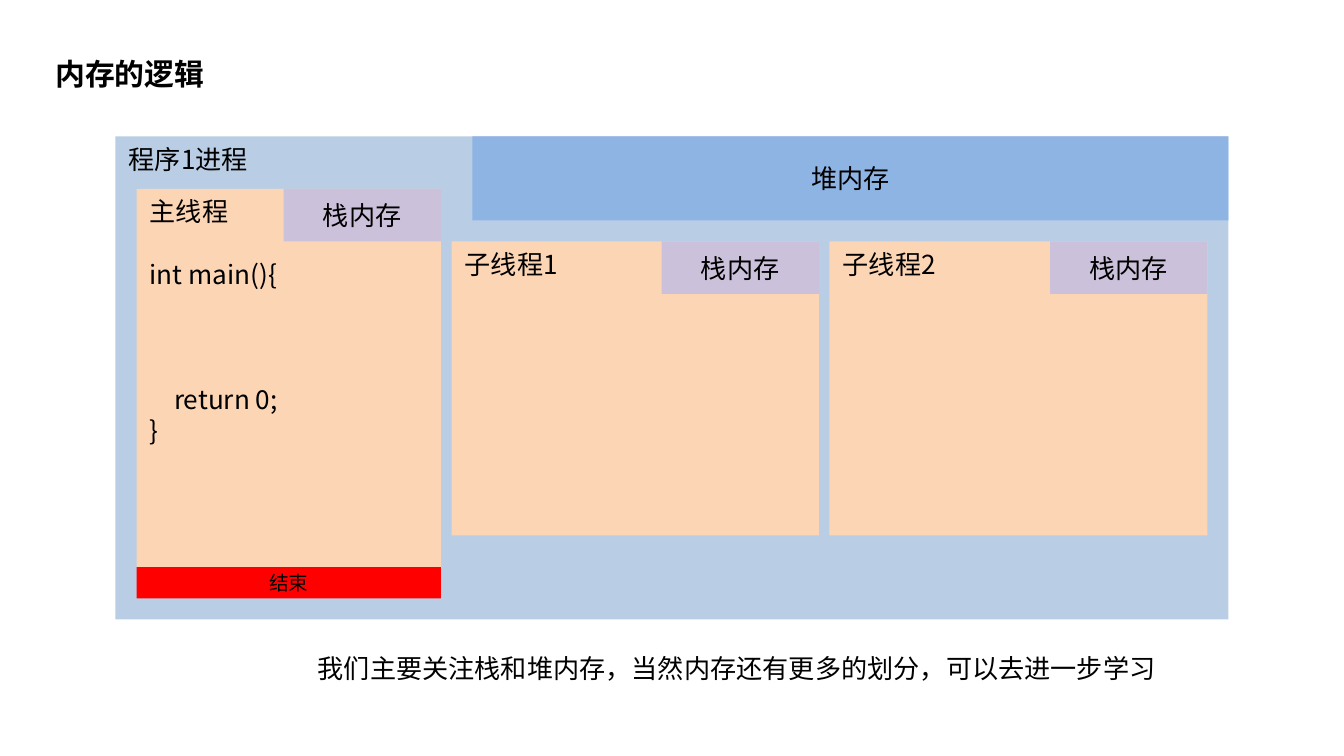
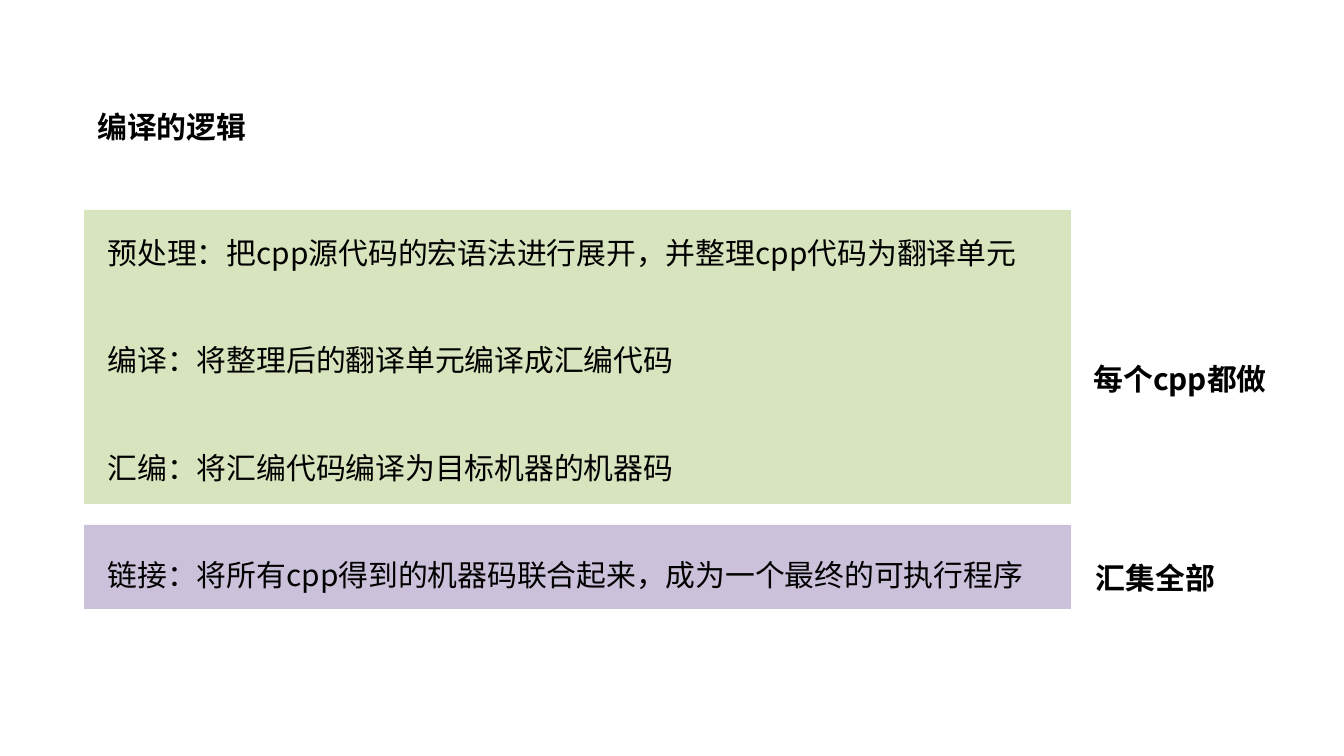
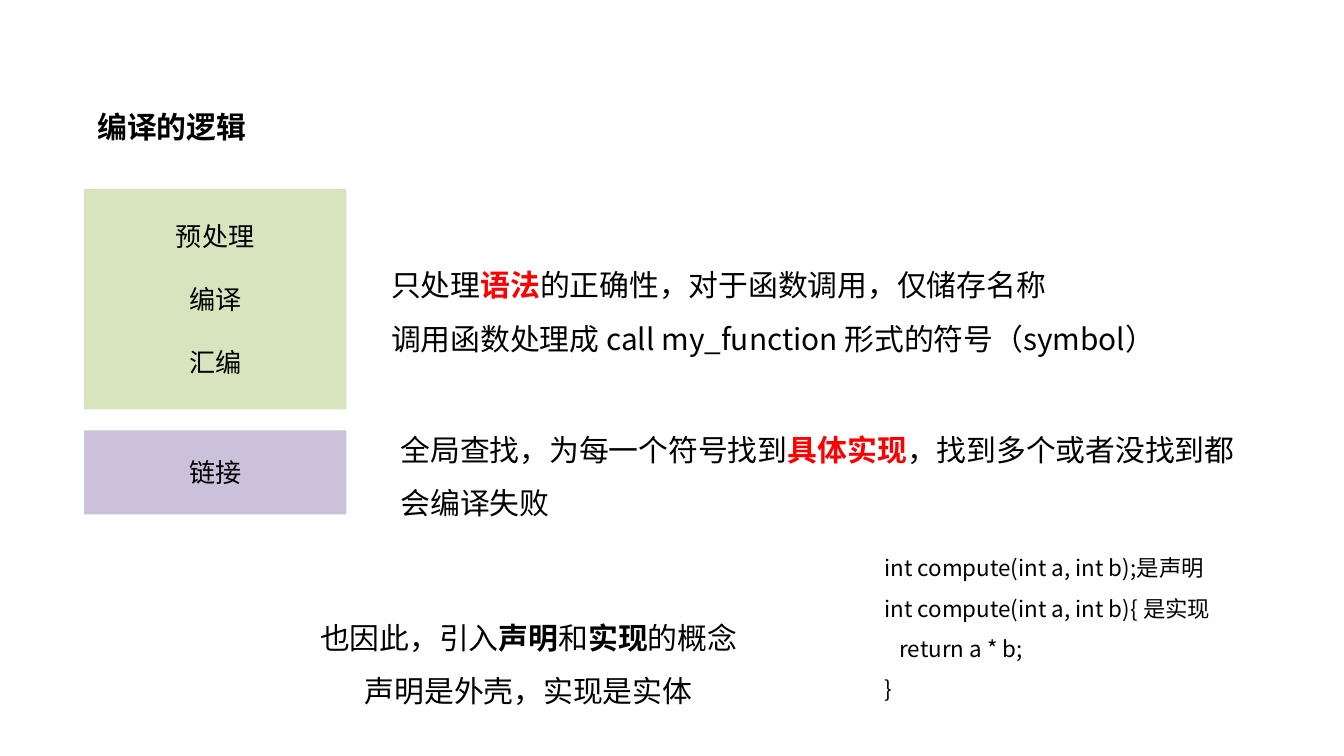
import dataclasses

import pptx
import pptx.dml.color
import pptx.enum.shapes
import pptx.enum.text
import pptx.oxml
import pptx.oxml.ns
import pptx.util

Pt = pptx.util.Pt
RGBColor = pptx.dml.color.RGBColor
ALIGN = pptx.enum.text.PP_ALIGN
ANCHOR = pptx.enum.text.MSO_ANCHOR

SLIDE_WIDTH, SLIDE_HEIGHT = 720, 405
GRID = SLIDE_WIDTH / 128  # points in one grid unit; every box is given in units
FONT = "Noto Sans CJK SC"

BLACK = RGBColor(0x00, 0x00, 0x00)
RED = RGBColor(0xFF, 0x00, 0x00)
PROCESS_BLUE = RGBColor(0xB9, 0xCD, 0xE5)
HEAP_BLUE = RGBColor(0x8E, 0xB4, 0xE3)
THREAD_ORANGE = RGBColor(0xFC, 0xD5, 0xB5)
PURPLE = RGBColor(0xCC, 0xC1, 0xDA)
GREEN = RGBColor(0xD7, 0xE4, 0xBD)

BOLD = {"bold": True}
KEYWORD = {"bold": True, "color": RED}
STACK_SIZE = (15, 5)
TITLE_SIZE = (16.9, 6.4)


@dataclasses.dataclass
class Line:
    """One paragraph: (text, style) runs, space above and left indent in points."""
    runs: list
    gap: float = 0
    indent: float = 0


def plain(text, gap=0, indent=0):
    return Line([(text, {})], gap, indent)


def set_attributes(target, values):
    for name, value in values.items():
        setattr(target, name, value)


def place(shape, box):
    lengths = (Pt(units * GRID) for units in box)
    set_attributes(shape, dict(zip(("left", "top", "width", "height"), lengths)))


def write(frame, lines, size, align=ALIGN.LEFT, spacing=1.0, bold=False):
    for index, line in enumerate(lines):
        paragraph = frame.paragraphs[0] if index == 0 else frame.add_paragraph()
        set_attributes(paragraph, {"alignment": align, "line_spacing": spacing,
                                   "space_before": Pt(line.gap)})
        if line.indent:
            paragraph._p.get_or_add_pPr().set("marL", str(Pt(line.indent)))
        for text, style in line.runs:
            run = paragraph.add_run()
            run.text = text
            set_attributes(run.font, {"name": FONT, "size": Pt(size),
                                      "bold": style.get("bold", bold)})
            run.font.color.rgb = style.get("color", BLACK)
            east_asian = pptx.oxml.parse_xml(
                f'<a:ea {pptx.oxml.ns.nsdecls("a")} typeface="{FONT}"/>')
            run.font._element.find(pptx.oxml.ns.qn("a:latin")).addnext(east_asian)


def fit_text(frame, anchor):
    set_attributes(frame, {"word_wrap": True, "vertical_anchor": anchor,
                           "auto_size": pptx.enum.text.MSO_AUTO_SIZE.SHAPE_TO_FIT_TEXT})


def add_panel(slide, box, fill, lines=(), size=14, align=ALIGN.CENTER, anchor=ANCHOR.MIDDLE):
    panel = slide.shapes.add_shape(pptx.enum.shapes.MSO_SHAPE.RECTANGLE, 0, 0, 0, 0)
    place(panel, box)
    panel.shadow.inherit = False
    panel.fill.solid()
    panel.fill.fore_color.rgb = fill
    panel.line.fill.background()
    panel.text_frame.vertical_anchor = anchor
    write(panel.text_frame, lines, size, align)


def add_note(slide, box, lines, size=16, anchor=ANCHOR.MIDDLE, **text_format):
    note = slide.shapes.add_textbox(0, 0, 0, 0)
    place(note, box)
    fit_text(note.text_frame, anchor)
    write(note.text_frame, lines, size, spacing=1.5, **text_format)


def add_titled_slide(deck, title, left, top):
    slide = deck.slides.add_slide(deck.slide_layouts[5])
    heading = slide.shapes.title
    place(heading, (left, top, *TITLE_SIZE))
    fit_text(heading.text_frame, ANCHOR.TOP)
    write(heading.text_frame, [plain(title)], 16, spacing=1.5, bold=True)
    return slide


def add_thread(slide, box, lines):
    """A thread block with its stack memory in the top right corner."""
    left, top, width, _ = box
    stack_width, stack_height = STACK_SIZE
    add_panel(slide, box, THREAD_ORANGE, lines, align=ALIGN.LEFT, anchor=ANCHOR.TOP)
    add_panel(slide, (left + width - stack_width, top, stack_width, stack_height),
              PURPLE, [plain("栈内存")])


def add_process(slide, box):
    left, top, width, height = box
    add_panel(slide, box, PROCESS_BLUE, [plain("程序1进程")],
              align=ALIGN.LEFT, anchor=ANCHOR.TOP)
    heap_width = 72
    add_panel(slide, (left + width - heap_width, top, heap_width, 8),
              HEAP_BLUE, [plain("堆内存")])

    main_width, main_height, end_height = 29, 36, 3
    main_left, main_top = left + 2, top + 5
    add_thread(slide, (main_left, main_top, main_width, main_height), [
        plain("主线程"),
        plain("int main(){", gap=17),
        plain("return 0;", gap=50, indent=13),
        plain("}"),
    ])
    add_panel(slide, (main_left, main_top + main_height, main_width, end_height),
              RED, [plain("结束")], size=10.5)

    child_left = main_left + main_width + 1
    for name, child_width in (("子线程1", 35), ("子线程2", 36)):
        add_thread(slide, (child_left, top + 10, child_width, 28), [plain(name)])
        child_left += child_width + 1


def add_stages(slide, left, top, width, compile_height, compile_lines=(), link_lines=()):
    """The per-file stages above the linking stage."""
    add_panel(slide, (left, top, width, compile_height), GREEN, compile_lines)
    add_panel(slide, (left, top + compile_height + 2, width, 8), PURPLE, link_lines)


def build_memory_slide(deck):
    slide = add_titled_slide(deck, "内存的逻辑", 4, 3)
    add_process(slide, (11, 13, 106, 46))
    add_note(slide, (29, 60, 83, 5.8),
             [plain("我们主要关注栈和堆内存，当然内存还有更多的划分，可以去进一步学习")],
             size=14, anchor=ANCHOR.TOP)


def build_stages_slide(deck):
    slide = add_titled_slide(deck, "编译的逻辑", 8, 8)
    add_stages(slide, 8, 20, 94, 28)
    stages = (
        "预处理：把cpp源代码的宏语法进行展开，并整理cpp代码为翻译单元",
        "编译：将整理后的翻译单元编译成汇编代码",
        "汇编：将汇编代码编译为目标机器的机器码",
        "链接：将所有cpp得到的机器码联合起来，成为一个最终的可执行程序",
    )
    add_note(slide, (9, 20, 112, 37.5),
             [plain(stage, gap=28.75 if index else 0) for index, stage in enumerate(stages)],
             anchor=ANCHOR.TOP)
    for scope, box in (("每个cpp都做", (102.7, 32, 19.4, 6.4)),
                       ("汇集全部", (103, 51, 14.1, 6.4))):
        add_note(slide, box, [plain(scope)], align=ALIGN.CENTER, bold=True)


def build_symbols_slide(deck):
    slide = add_titled_slide(deck, "编译的逻辑", 8, 8)
    add_stages(slide, 8, 18, 25, 21,
               [plain("预处理"), plain("编译", gap=17), plain("汇编", gap=17)],
               [plain("链接")])
    add_note(slide, (36, 23, 78.3, 11.6), [
        Line([("只处理", {}), ("语法", KEYWORD),
              ("的正确性，对于函数调用，仅储存名称", {})]),
        plain("调用函数处理成 call my_function 形式的符号（symbol）"),
    ])
    add_note(slide, (36.9, 39, 83, 11), [
        Line([("全局查找，为每一个符号找到", {}), ("具体实现", KEYWORD),
              ("，找到多个或者没找到都", {})]),
        plain("会编译失败"),
    ])
    add_note(slide, (29, 56.6, 42.7, 11.6), [
        Line([("也因此，引入", {}), ("声明", BOLD), ("和", {}),
              ("实现", BOLD), ("的概念", {})]),
        plain("声明是外壳，实现是实体"),
    ], align=ALIGN.CENTER)
    add_note(slide, (83, 51, 34.7, 16.4), [
        plain("int compute(int a, int b);是声明"),
        plain("int compute(int a, int b){ 是实现"),
        plain("return a * b;", indent=8),
        plain("}"),
    ], size=12)


def main():
    deck = pptx.Presentation()
    set_attributes(deck, {"slide_width": Pt(SLIDE_WIDTH), "slide_height": Pt(SLIDE_HEIGHT)})
    build_memory_slide(deck)
    build_stages_slide(deck)
    build_symbols_slide(deck)
    deck.save("out.pptx")


if __name__ == "__main__":
    main()
